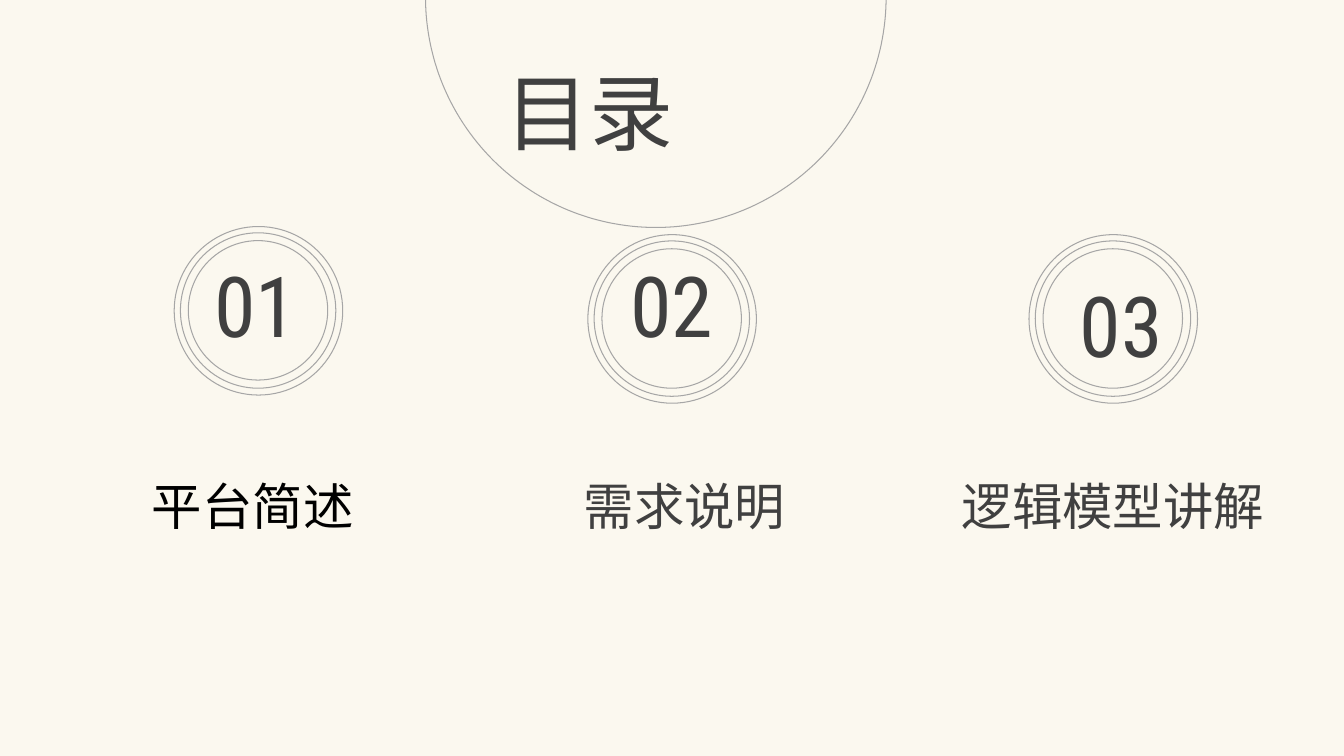
from math import cos, pi, sin
from pptx import Presentation
from pptx.dml.color import RGBColor
from pptx.enum.shapes import MSO_SHAPE as Geo
from pptx.enum.text import PP_ALIGN as Align
from pptx.util import Pt

CREAM = RGBColor(0xFB, 0xF8, 0xEF)
GRAY = RGBColor(0xA6, 0xA6, 0xA6)
DARK = RGBColor(0x40, 0x40, 0x40)
BLACK = RGBColor(0, 0, 0)
WIDE, HIGH = 960, 540


class Deck:
    face = "Roboto Condensed"

    def __init__(self):
        self.prs = Presentation()
        self.prs.slide_width, self.prs.slide_height = Pt(WIDE), Pt(HIGH)
        self.slide = self.prs.slides.add_slide(self.prs.slide_layouts[6])
        fill = self.slide.background.fill
        fill.solid()
        fill.fore_color.rgb = CREAM

    def paint(self, shape):
        shape.shadow.inherit = False
        shape.fill.solid()
        shape.fill.fore_color.rgb = CREAM
        shape.line.color.rgb = GRAY
        shape.line.width = Pt(0)

    def rings(self, left, top):
        group = self.slide.shapes.add_group_shape()
        for gap, size in ((0, 120.4), (4.5, 111), (10.1, 99.6)):
            self.paint(group.shapes.add_shape(
                Geo.OVAL, Pt(left + gap), Pt(top + gap), Pt(size), Pt(size)))

    def bowl(self, mid, top, rad, steps=120):
        turns = [pi * i / steps for i in range(steps + 1)]
        dots = [(Pt(mid + rad * cos(t)), Pt(top + rad * sin(t))) for t in turns]
        pen = self.slide.shapes.build_freeform(*dots[0])
        pen.add_line_segments(dots[1:], close=True)
        self.paint(pen.convert_to_shape())

    def text(self, words, left, top, width, high, size,
             align=Align.CENTER, color=DARK, face=None):
        box = self.slide.shapes.add_textbox(
            Pt(left), Pt(top), Pt(width), Pt(high))
        box.text_frame.word_wrap = True
        para = box.text_frame.paragraphs[0]
        para.alignment = align
        run = para.add_run()
        run.text = words
        font = run.font
        font.name, font.size = face or self.face, Pt(size)
        font.color.rgb = color


deck = Deck()

# Title in the half circle
deck.bowl(468.5, -2, 164.5)
deck.text("目录", 354.2, 39.6, 229, 80, 60, Align.JUSTIFY)

# Rings with number: ring left and top, number left and top
for num, left, top, x, y in (("01", 124.4, 161.8, 133.5, 177.7),
                             ("02", 419.9, 167.6, 430.5, 177.2),
                             ("03", 735, 167.6, 751.7, 192)):
    deck.rings(left, top)
    deck.text(num, x, y, 98.5, 80, 60)

# Labels
row = dict(top=335.5, high=51, size=36)
deck.text("平台简述", 101.5, width=175.7, align=Align.LEFT,
          color=BLACK, face="Calibri", **row)
for words, left in (("需求说明", 367.2), ("逻辑模型讲解", 673.2)):
    deck.text(words, left, width=243.4, **row)

deck.prs.save("out.pptx")
